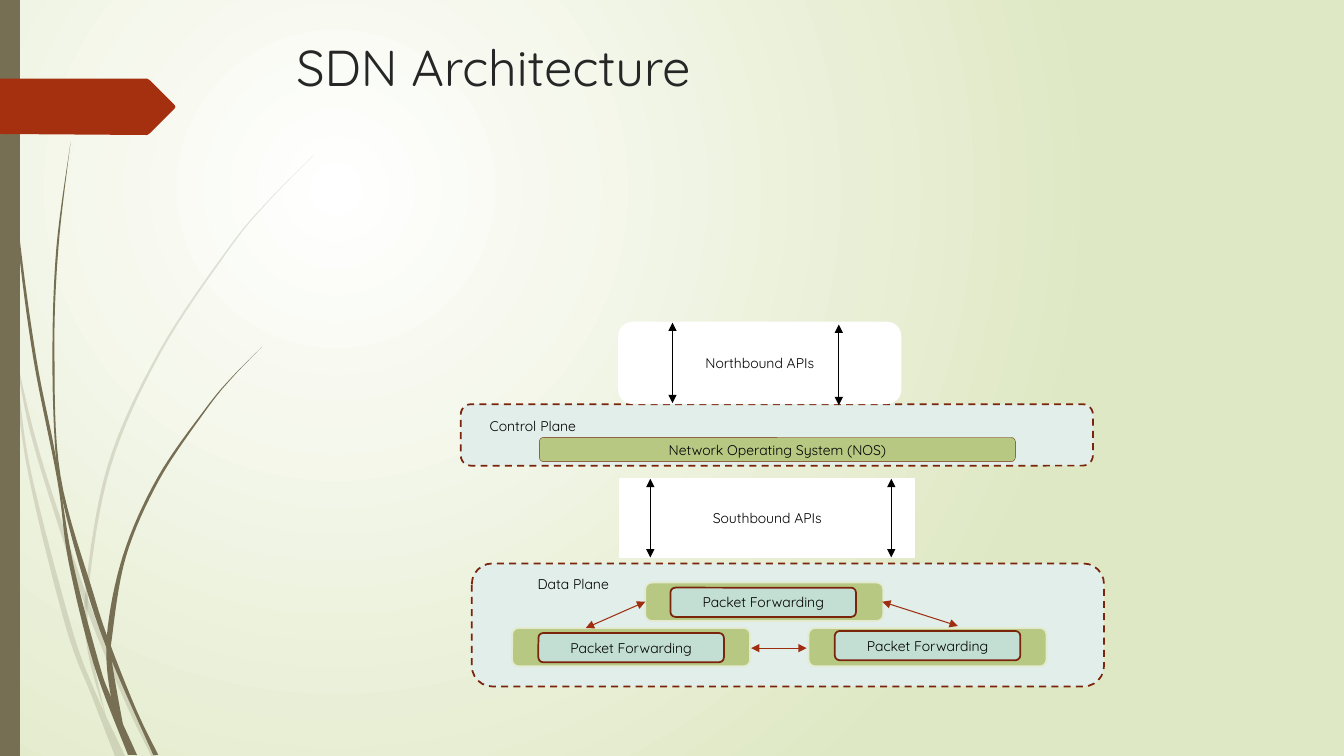
import pptx
import pptx.util
import pptx.dml.color
import pptx.enum.dml
import pptx.enum.shapes
import pptx.enum.text
import pptx.oxml
import pptx.oxml.ns

FONT = "Quicksand"
OLIVE, RUST, MAROON, MINT, LEAF, AQUA, PALE = (
    "766F54", "A53010", "7A240C", "E1EEE9", "B6C882", "C3DED3", "E3EACF")
WHITE, BLACK, ARROW = "FFFFFF", "000000", "9E2E0F"

# All positions are in inches; emu() turns them into lengths.
# Each blade of grass: opacity, edge going down, edge coming back up.
BLADES = [
    (20, [(0, 2.99), (.11, 3.5), (.28, 4.7), (.65, 6.21), (.92, 6.93), (1.14, 7.5)],
     [(1.24, 7.5), (.93, 6.83), (.7, 6.19), (.31, 4.69), (.17, 3.76), (0, 2.82)]),
    (20, [(.14, 3.45), (.29, 4.25), (.58, 5.22), (.88, 6.1), (1.23, 6.94), (1.5, 7.5)],
     [(1.55, 7.5), (1.27, 6.92), (.92, 6.07), (.62, 5.2), (.35, 4.34), (.14, 3.45)]),
    (20, [(3.12, 1.53), (2.68, 1.97), (2.28, 2.44), (1.58, 3.48), (1.07, 4.61),
          (.85, 5.84), (.87, 6.46), (1.05, 7.11)],
     [(1.05, 7.11), (.91, 6.46), (.88, 5.84), (1.1, 4.62), (1.6, 3.49),
      (2.29, 2.45), (2.68, 1.98), (3.12, 1.53)]),
    (100, [(.03, 0), (.07, 1.1), (.17, 2.33), (.33, 3.55), (.57, 4.77), (.68, 5.57),
           (.93, 6.59), (1.27, 7.49)],
     [(1.36, 7.49), (1.1, 6.91), (.98, 6.57), (.72, 5.56), (.55, 4.51), (.36, 3.55),
      (.19, 2.32), (.08, 1.09), (.04, 0)]),
    (100, [(.7, 1.41), (.56, 2.45), (.52, 3.49), (.55, 4.49), (.64, 5.05), (.88, 5.92),
           (1.11, 6.56), (1.52, 7.49)],
     [(1.57, 7.49), (1.36, 7.06), (1.1, 6.41), (.93, 5.9), (.6, 4.72), (.54, 3.49),
      (.58, 2.45), (.7, 1.41)]),
    (100, [(2.6, 3.44), (2.31, 3.73), (2.04, 4.05), (1.56, 4.74), (1.22, 5.51),
           (1.06, 6.31), (1.1, 6.91), (1.22, 7.19)],
     [(1.22, 7.19), (1.11, 6.56), (1.11, 6.33), (1.25, 5.52), (1.58, 4.76),
      (2.05, 4.06), (2.31, 3.74), (2.6, 3.44)]),
]
TAG = [(0, .78), (1.46, .78), (1.49, .8), (1.73, 1.04), (1.74, 1.06), (1.73, 1.08),
       (1.49, 1.32), (1.46, 1.34), (0, 1.33)]

# Box: position and size, fill, line colour, line width, dashed, rounded, text
DATA_PLANE = [
    ((4.68, 5.59, 6.27, 1.22), MINT, MAROON, 1.25, True, True, ""),
    ((4.84, 5.65, 1.69, .28), MINT, MINT, 1.25, False, True, "Data Plane"),
]
# Forwarding node: left and top, then offset of the inner box
NODES = [((6.4, 5.78), (.25, .05)), ((5.08, 6.23), (.26, .05)), ((8.02, 6.23), (.26, .03))]
NODE_SIZE, INNER_SIZE = (2.36, .38), (1.84, .29)
SOUTHBOUND = [((6.15, 4.75, 2.92, .78), WHITE, WHITE, 1.25, False, False, "Southbound APIs")]
CONTROL_PLANE = [
    ((4.57, 4.01, 6.27, .61), MINT, MAROON, 1.25, True, True, ""),
    ((4.68, 4.07, 1.21, .32), MINT, MINT, 1.25, False, True, "Control Plane"),
    ((5.35, 4.34, 4.72, .24), LEAF, MAROON, .25, False, True, "Network Operating System (NOS)"),
]
NORTHBOUND = [((6.14, 3.2, 2.79, .8), WHITE, WHITE, 1.25, False, True, "Northbound APIs")]
NODE_LINKS = [(5.81, 6.23, 6.4, 5.97), (8.75, 5.97, 9.5, 6.21), (7.45, 6.43, 8, 6.43)]
SOUTH_LINKS = [(x, 4.75, x, 5.53) for x in (6.45, 8.84)]
NORTH_LINKS = [(6.67, 3.2, 6.67, 4), (8.32, 3.22, 8.32, 4.02)]


def emu(inches):
    """Length for a distance given in inches."""
    return pptx.util.Cm(inches * 2.54)


def rgb(code):
    """Colour from a hex string."""
    return pptx.dml.color.RGBColor.from_string(code)


def add_xml(parent, text):
    """Append an element of the drawing namespace."""
    head, rest = text[:-2].split(" ", 1) if " " in text else (text[:-2], "")
    space = pptx.oxml.ns.nsdecls("a")
    parent.append(pptx.oxml.parse_xml(f"<a:{head} {space} {rest}/>"))


def smooth(points, steps=8):
    """Points along a Catmull-Rom curve through the given ones."""
    padded = [points[0], *points, points[-1]]
    curve = [points[0]]
    for a, b, c, d in zip(padded, padded[1:], padded[2:], padded[3:]):
        for step in range(1, steps + 1):
            t = step / steps
            curve.append(tuple(
                b[i] + .5 * t * (c[i] - a[i] + t * (2 * a[i] - 5 * b[i] + 4 * c[i] - d[i]
                                 + t * (3 * (b[i] - c[i]) + d[i] - a[i])))
                for i in (0, 1)))
    return curve


def add_outline(page, points, color, opacity=100):
    """Draw a filled closed outline without a line."""
    corners = [(emu(x), emu(y)) for x, y in points]
    builder = page.shapes.build_freeform(*corners[0])
    builder.add_line_segments(corners[1:], close=True)
    shape = builder.convert_to_shape()
    shape.shadow.inherit = False
    shape.fill.solid()
    shape.fill.fore_color.rgb = rgb(color)
    shape.line.fill.background()
    if opacity < 100:
        tint = next(shape.element.spPr.iter(pptx.oxml.ns.qn("a:srgbClr")))
        add_xml(tint, f'alpha val="{opacity * 1000}"/>')


def add_box(page, place, fill, line, width, dashed, rounded, text):
    """Draw a box with centred text."""
    kinds = pptx.enum.shapes.MSO_SHAPE
    kind = kinds.ROUNDED_RECTANGLE if rounded else kinds.RECTANGLE
    box = page.shapes.add_shape(kind, *map(emu, place))
    box.shadow.inherit = False
    box.fill.solid()
    box.fill.fore_color.rgb = rgb(fill)
    box.line.color.rgb = rgb(line)
    box.line.width = pptx.util.Pt(width)
    if dashed:
        box.line.dash_style = pptx.enum.dml.MSO_LINE.DASH
    if text:
        box.text_frame.vertical_anchor = pptx.enum.text.MSO_ANCHOR.MIDDLE
        para = box.text_frame.paragraphs[0]
        para.text = text
        para.alignment = pptx.enum.text.PP_ALIGN.CENTER
        set_font(para, 10, BLACK)


def set_font(para, size, color):
    """Set the font of a paragraph."""
    para.font.name = FONT
    para.font.size = pptx.util.Pt(size)
    para.font.color.rgb = rgb(color)


def add_arrows(page, ends, color):
    """Draw lines with an arrowhead at both ends."""
    for end in ends:
        arrow = page.shapes.add_connector(
            pptx.enum.shapes.MSO_CONNECTOR.STRAIGHT, *map(emu, end))
        arrow.line.color.rgb = rgb(color)
        arrow.line.width = pptx.util.Pt(.75)
        for side in ("headEnd", "tailEnd"):
            add_xml(arrow.line._get_or_add_ln(), f'{side} type="triangle"/>')
        add_xml(arrow.element.spPr, "effectLst/>")


def set_background(page):
    """Fill the page with a round gradient centred in its upper left quarter."""
    fill = page.background.fill
    fill.gradient()
    for stop, color in zip(fill.gradient_stops, (WHITE, "DFE8C4")):
        stop.color.rgb = rgb(color)
    gradient = next(page.element.iter(pptx.oxml.ns.qn("a:gradFill")))
    gradient.remove(gradient.find(pptx.oxml.ns.qn("a:lin")))
    add_xml(gradient, 'path path="circle"/>')
    add_xml(gradient[-1], 'fillToRect l="50000" t="50000" r="100000" b="100000"/>')


deck = pptx.Presentation()
deck.slide_width, deck.slide_height = emu(13.33), emu(7.5)
page = deck.slides.add_slide(deck.slide_layouts[5])
set_background(page)

for opacity, down, up in BLADES:
    add_outline(page, smooth(down) + smooth(up), OLIVE, opacity)
add_outline(page, [(0, 0), (.2, 0), (.2, 7.5), (0, 7.5)], OLIVE)
add_outline(page, TAG, RUST)

title = page.shapes.title
title.left, title.top, title.width, title.height = map(emu, (2.84, .31, 9.75, .75))
title.text_frame.text = "SDN Architecture"
title.text_frame.vertical_anchor = pptx.enum.text.MSO_ANCHOR.TOP
heading = title.text_frame.paragraphs[0]
heading.alignment = pptx.enum.text.PP_ALIGN.LEFT
set_font(heading, 36, "262626")

nodes = []
for (left, top), (right, down) in NODES:
    nodes += [((left, top, *NODE_SIZE), LEAF, PALE, 1.25, False, True, ""),
              ((left + right, top + down, *INNER_SIZE), AQUA, MAROON, 1.25, False, True,
               "Packet Forwarding")]
for boxes, links, color in [(DATA_PLANE + nodes, NODE_LINKS, ARROW),
                            (SOUTHBOUND, SOUTH_LINKS, BLACK),
                            (CONTROL_PLANE, [], BLACK),
                            (NORTHBOUND, NORTH_LINKS, BLACK)]:
    for box in boxes:
        add_box(page, *box)
    add_arrows(page, links, color)

deck.save("out.pptx")
